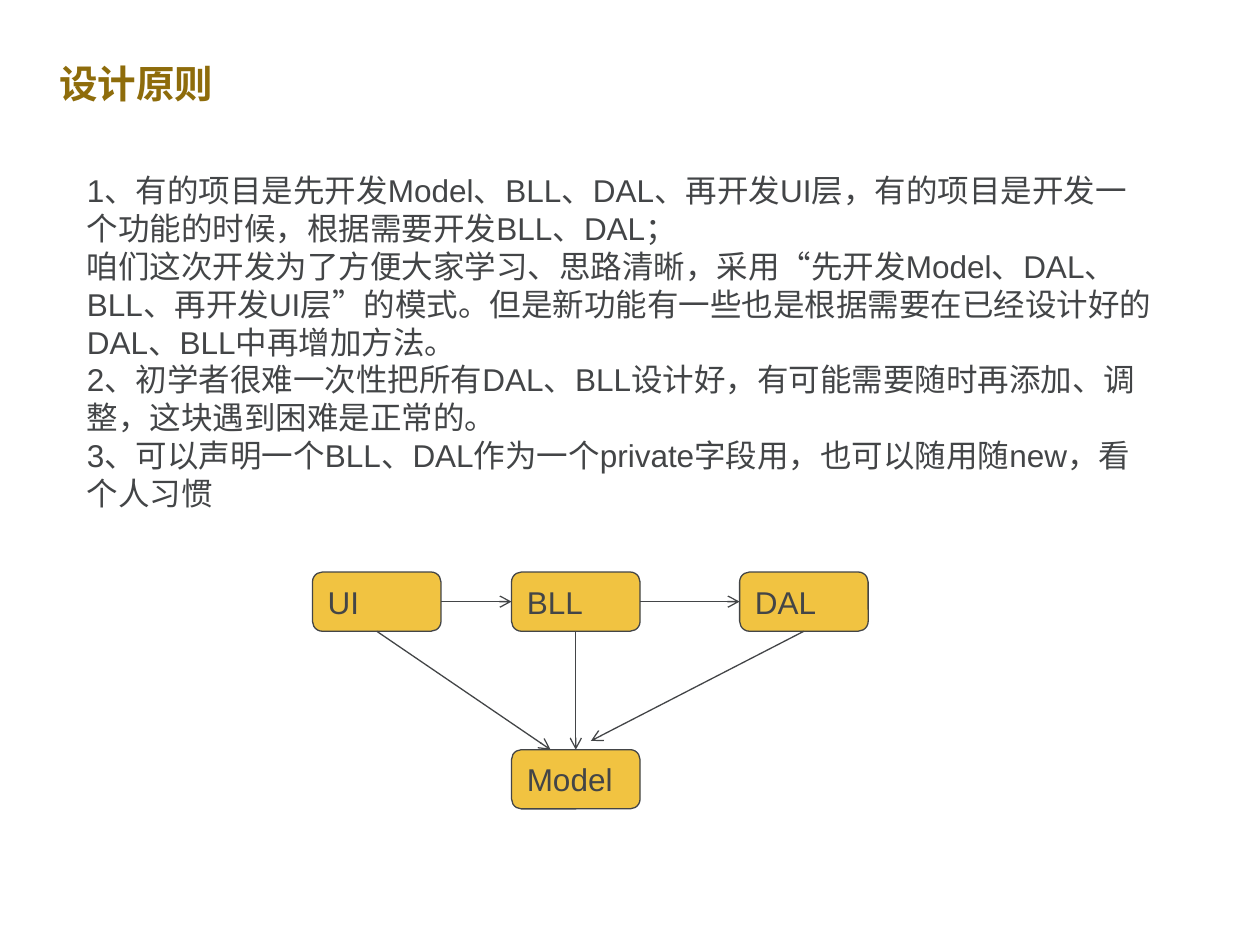
from lxml import etree
from pptx import Presentation
from pptx.dml.color import RGBColor
from pptx.enum.shapes import MSO_CONNECTOR, MSO_SHAPE
from pptx.enum.text import MSO_ANCHOR, MSO_AUTO_SIZE, PP_ALIGN
from pptx.oxml.ns import qn
from pptx.util import Inches, Pt

STRAIGHT = MSO_CONNECTOR.STRAIGHT
ROUNDED = MSO_SHAPE.ROUNDED_RECTANGLE
TOP, MIDDLE = MSO_ANCHOR.TOP, MSO_ANCHOR.MIDDLE
LEFT = PP_ALIGN.LEFT
NO_AUTOFIT = MSO_AUTO_SIZE.NONE

LATIN, CHINESE = "Arial", "Noto Sans CJK JP"
INK, GOLD, BROWN = "434547", "F1C341", "8E6C0B"
BOX_WIDTH, BOX_HEIGHT = 1.02, 0.47
LAYER_TOP, MODEL_TOP = 4.54, 5.95
LAYER_LEFTS = {"UI": 2.48, "BLL": 4.06, "DAL": 5.87}

PRINCIPLES = [
    "1、有的项目是先开发Model、BLL、DAL、再开发UI层，有的项目是开发一个功能的时候，根据需要开发BLL、DAL；",
    "咱们这次开发为了方便大家学习、思路清晰，采用“先开发Model、DAL、BLL、再开发UI层”的模式。"
    "但是新功能有一些也是根据需要在已经设计好的DAL、BLL中再增加方法。",
    "2、初学者很难一次性把所有DAL、BLL设计好，有可能需要随时再添加、调整，这块遇到困难是正常的。",
    "3、可以声明一个BLL、DAL作为一个private字段用，也可以随用随new，看个人习惯",
]


def color(hex_string):
    return RGBColor.from_string(hex_string)


def write_text(frame, lines, size=18, font=LATIN, ink=INK, bold=False,
               anchor=TOP, spacing=1.0):
    frame.word_wrap = True
    frame.auto_size = NO_AUTOFIT
    frame.vertical_anchor = anchor
    for index, line in enumerate(lines):
        paragraph = frame.paragraphs[0] if index == 0 else frame.add_paragraph()
        paragraph.alignment = LEFT
        paragraph.line_spacing = spacing
        paragraph.space_before = paragraph.space_after = Pt(0)
        run = paragraph.add_run()
        run.text = line
        run.font.size = Pt(size)
        run.font.name = font
        run.font.bold = bold
        run.font.color.rgb = color(ink)
        east_asian = etree.SubElement(run.font._element, qn("a:ea"))
        east_asian.set("typeface", CHINESE)


class SlideBuilder:
    def __init__(self, slide, line_width=0.75):
        self.slide = slide
        self.line_width = Pt(line_width)

    def place(self, shape, left, top, width, height):
        shape.left, shape.top = Inches(left), Inches(top)
        shape.width, shape.height = Inches(width), Inches(height)

    def title(self, text, *bounds):
        title = self.slide.shapes.title
        self.place(title, *bounds)
        write_text(title.text_frame, [text], size=22, font=CHINESE, ink=BROWN,
                   bold=True, anchor=MIDDLE, spacing=0.9)

    def body(self, lines, *bounds):
        body = self.slide.placeholders[1]
        self.place(body, *bounds)
        write_text(body.text_frame, lines)
        for paragraph in body.text_frame.paragraphs:
            properties = paragraph._p.get_or_add_pPr()
            properties.set("marL", "0")
            properties.set("indent", "0")
            etree.SubElement(properties, qn("a:buNone"))

    def box(self, text, left, top):
        box = self.slide.shapes.add_shape(
            ROUNDED, Inches(left), Inches(top), Inches(BOX_WIDTH), Inches(BOX_HEIGHT))
        box.shadow.inherit = False
        box.fill.solid()
        box.fill.fore_color.rgb = color(GOLD)
        box.line.color.rgb = color(INK)
        box.line.width = self.line_width
        write_text(box.text_frame, [text], anchor=MIDDLE)

    def arrow(self, start, end):
        arrow = self.slide.shapes.add_connector(
            STRAIGHT, *(Inches(value) for value in (*start, *end)))
        arrow.line.color.rgb = color(INK)
        arrow.line.width = self.line_width
        head = etree.SubElement(arrow.line._get_or_add_ln(), qn("a:tailEnd"))
        head.set("type", "arrow")
        etree.SubElement(arrow._element.spPr, qn("a:effectLst"))


def main():
    presentation = Presentation()
    presentation.slide_width, presentation.slide_height = Inches(10), Inches(7.5)
    slide = presentation.slides.add_slide(presentation.slide_layouts[1])
    builder = SlideBuilder(slide)

    builder.title("设计原则", 0.37, 0.31, 6.12, 0.74)
    builder.body(PRINCIPLES, 0.59, 1.31, 8.66, 3.13)

    builder.box("Model", LAYER_LEFTS["BLL"], MODEL_TOP)
    for name, left in LAYER_LEFTS.items():
        builder.box(name, left, LAYER_TOP)

    lefts = list(LAYER_LEFTS.values())
    middle = LAYER_TOP + BOX_HEIGHT / 2
    for left, next_left in zip(lefts, lefts[1:]):
        builder.arrow((left + BOX_WIDTH, middle), (next_left, middle))

    model_ends = [(4.37, MODEL_TOP), (4.57, MODEL_TOP), (4.69, 5.88)]
    for left, end in zip(lefts, model_ends):
        builder.arrow((left + BOX_WIDTH / 2, LAYER_TOP + BOX_HEIGHT), end)

    presentation.save("out.pptx")


if __name__ == "__main__":
    main()
